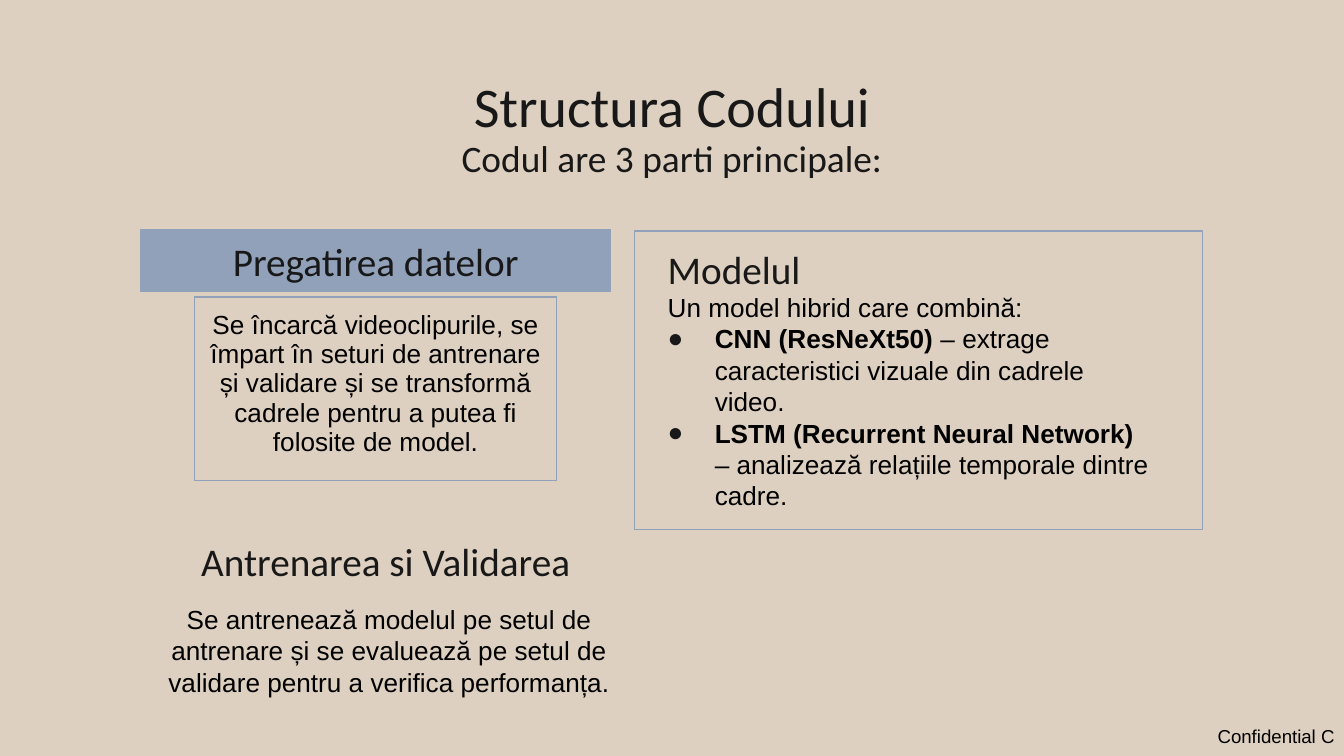
from lxml.etree import SubElement
from pptx import Presentation
from pptx.dml.color import RGBColor
from pptx.enum.shapes import MSO_SHAPE
from pptx.enum.text import MSO_ANCHOR, PP_ALIGN
from pptx.oxml.ns import qn
from pptx.util import Inches, Pt

SAND = RGBColor(0xDD, 0xD0, 0xC0)
BLUE = RGBColor(0x91, 0xA1, 0xBA)
INK = RGBColor(0x18, 0x18, 0x18)
BLACK = RGBColor(0, 0, 0)

deck = Presentation()
deck.slide_width = Inches(10)
deck.slide_height = deck.slide_width * 9 // 16
col = deck.slide_width / 100
row = deck.slide_height / 56.25
slide = deck.slides.add_slide(deck.slide_layouts[6])
slide.background.fill.solid()
slide.background.fill.fore_color.rgb = SAND


def write(par, text, size=14, font="Arial", color=BLACK, bold=False, align=PP_ALIGN.CENTER):
    par.alignment = align
    run = par.add_run()
    run.text = text
    run.font.size = Pt(size)
    run.font.name = font
    run.font.bold = bold
    run.font.color.rgb = color


def place(left, top, wide, high, pad=1, anchor=MSO_ANCHOR.MIDDLE, shape=None):
    area = [round(left * col), round(top * row), round(wide * col), round(high * row)]
    if shape is None:
        item = slide.shapes.add_textbox(*area)
    else:
        item = slide.shapes.add_shape(shape, *area)
        item.shadow.inherit = False
        item.line.color.rgb = BLUE
        item.line.width = Pt(0.75)
    frame = item.text_frame
    frame.word_wrap = True
    frame.vertical_anchor = anchor
    frame.margin_left = frame.margin_right = round(pad * col)
    frame.margin_top = frame.margin_bottom = round(pad * row)
    return item


head = {"size": 21, "font": "Calibri", "color": INK}

note = place(90.6, 53.9, 9.1, 1.7, pad=0, anchor=MSO_ANCHOR.TOP).text_frame
note.word_wrap = False
write(note.paragraphs[0], "Confidential C", size=10, align=PP_ALIGN.LEFT)

panel = place(47.2, 17.2, 42.3, 22.2, shape=MSO_SHAPE.RECTANGLE)
panel.fill.background()

title = place(7.9, 4.9, 84.2, 10.8, anchor=MSO_ANCHOR.TOP).text_frame.paragraphs[0]
title.line_spacing = 0.9
write(title, "Structura Codului", size=30, font="Calibri", color=INK)
title.add_line_break()
write(title, "Codul are 3 parti principale:", size=20, font="Calibri", color=INK)

grid = slide.shapes.add_table(
    1, 1, round(14.5 * col), round(22.1 * row), round(26.9 * col), round(4.7 * row)
).table
grid.first_row = False
grid.horz_banding = False
cell = grid.cell(0, 0)
cell.margin_left = cell.margin_right = round(col)
cell.margin_top = cell.margin_bottom = round(row)
write(
    cell.text_frame.paragraphs[0],
    "Se încarcă videoclipurile, se împart în seturi de antrenare și validare "
    "și se transformă cadrele pentru a putea fi folosite de model.",
)
props = cell._tc.get_or_add_tcPr()
for side in ("a:lnL", "a:lnR", "a:lnT", "a:lnB"):
    edge = SubElement(props, qn(side), w=str(Pt(0.75)))
    paint = SubElement(edge, qn("a:solidFill"))
    SubElement(paint, qn("a:srgbClr"), val=str(BLUE))
cell.fill.background()

band = place(10.5, 17.1, 34.9, 4.6, shape=MSO_SHAPE.RECTANGLE)
band.fill.solid()
band.fill.fore_color.rgb = BLUE
write(band.text_frame.paragraphs[0], "Pregatirea datelor", **head)

model = place(48.7, 17.7, 39.6, 4.6).text_frame
write(model.paragraphs[0], "Modelul", align=PP_ALIGN.LEFT, **head)

parts = place(47.2, 25.9, 39.6, 7.9).text_frame
intro = parts.paragraphs[0]
intro._p.get_or_add_pPr().set("marL", str(round(1.5 * col)))
write(intro, "Un model hibrid care combină:", align=PP_ALIGN.LEFT)
for name, role in (
    ("CNN (ResNeXt50)", " – extrage caracteristici vizuale din cadrele video."),
    ("LSTM (Recurrent Neural Network)", " – analizează relațiile temporale dintre cadre."),
):
    point = parts.add_paragraph()
    write(point, name, bold=True, align=PP_ALIGN.LEFT)
    write(point, role, align=PP_ALIGN.LEFT)
    props = point._p.get_or_add_pPr()
    props.set("marL", str(round(5 * col)))
    props.set("indent", str(round(-3.5 * col)))
    tint = SubElement(props, qn("a:buClr"))
    SubElement(tint, qn("a:srgbClr"), val=str(INK))
    SubElement(props, qn("a:buFont"), typeface="Arial")
    SubElement(props, qn("a:buChar"), char="●")

train = place(8.7, 39.4, 40, 4.6).text_frame
write(train.paragraphs[0], "Antrenarea si Validarea", **head)

goal = place(9.2, 44.4, 39.5, 8.1, pad=0.5, anchor=MSO_ANCHOR.TOP).text_frame.paragraphs[0]
write(
    goal,
    "Se antrenează modelul pe setul de antrenare și se evaluează pe setul de "
    "validare pentru a verifica performanța.",
)

deck.save("out.pptx")
